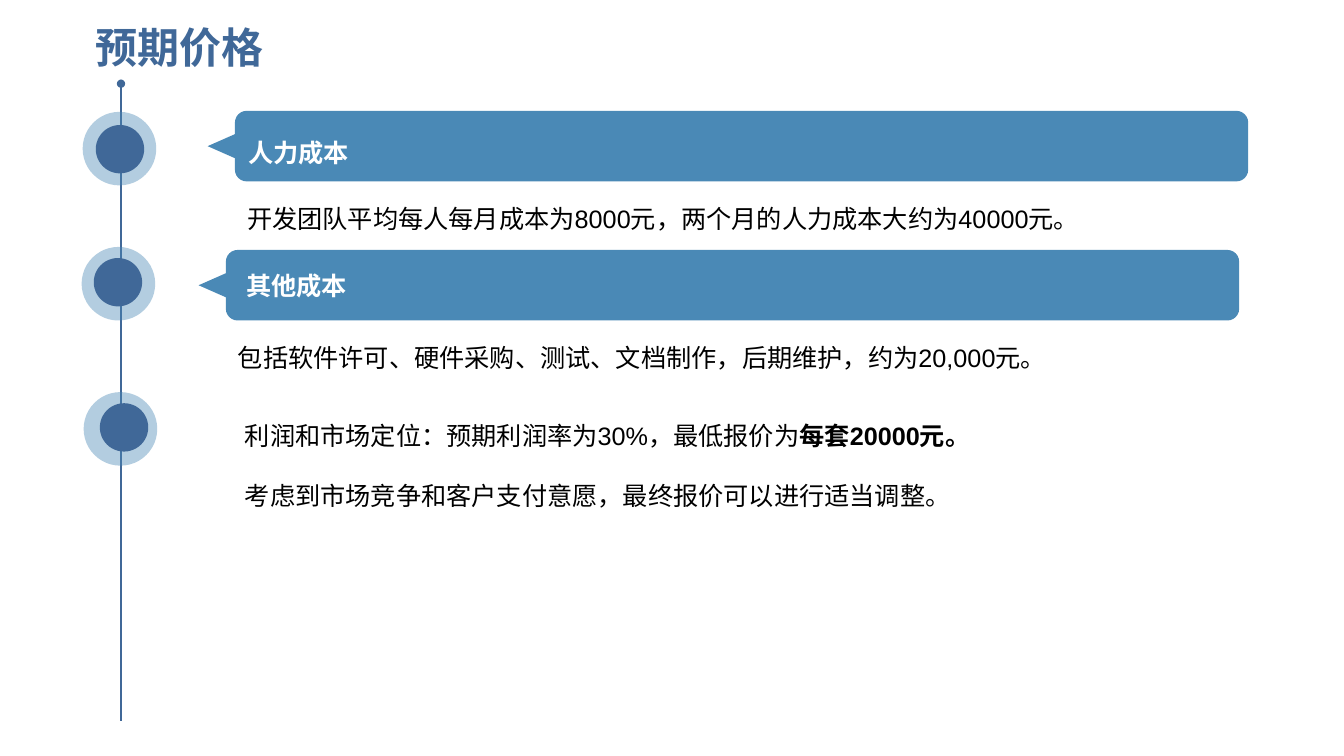
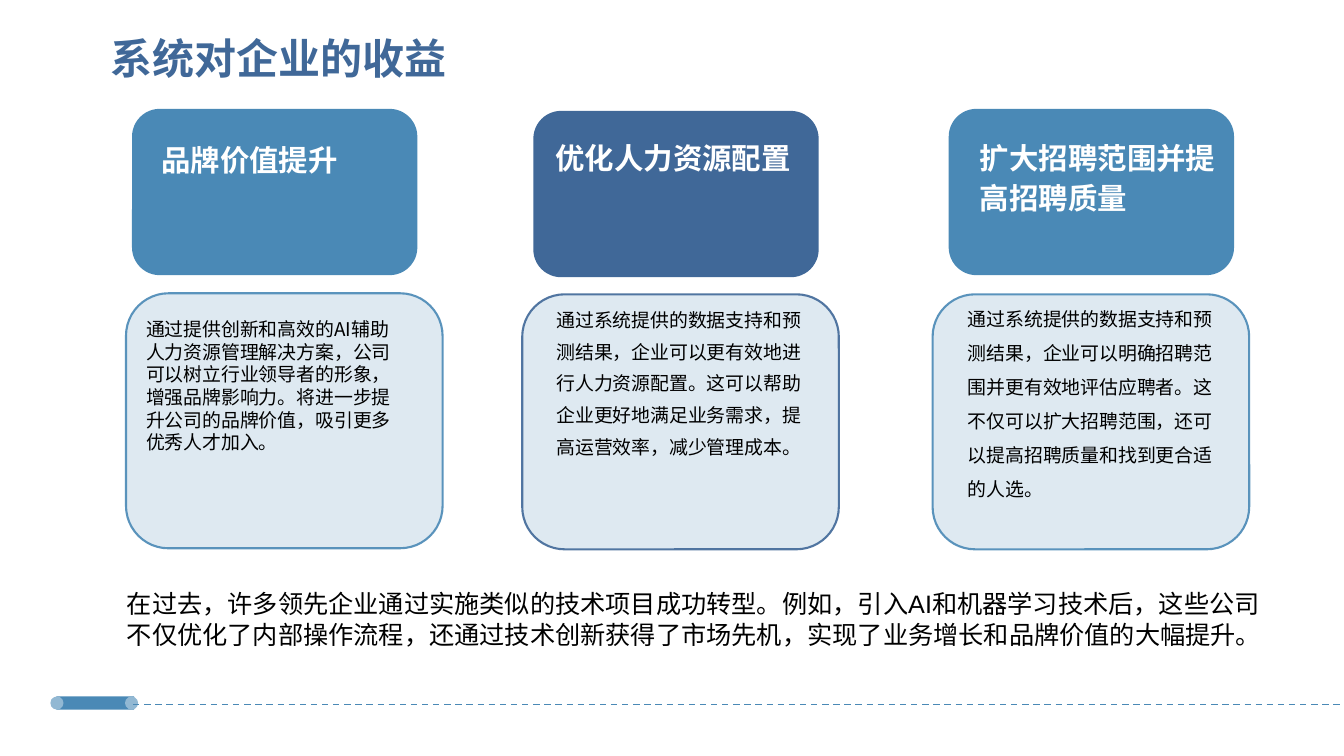
from dataclasses import dataclass

from pptx import Presentation
from pptx import util as u
from pptx.dml.color import RGBColor
from pptx.enum import dml, shapes, text
from pptx.oxml import ns
from pptx.oxml.xmlchemy import OxmlElement

COLORS = {
    "navy": "406898",
    "blue": "4A89B6",
    "mist": "92B8D3",
    "pale": "DBE7F0",
    "white": "FFFFFF",
    "black": "000000",
}
LATIN = "Arial"
HAN = "Noto Sans CJK SC"
LINE_HEIGHT = 1.2
NO_INSETS = (0, 0, 0, 0)
WIDE_INSETS = (0.14, 0.14, 0.06, 0.14)
USUAL_INSETS = (0.1, 0.05, 0.1, 0.05)
SHAPE = shapes.MSO_SHAPE
Rect = tuple[float, float, float, float]


@dataclass(frozen=True)
class TextStyle:
    size: float
    color: str = "black"
    bold: bool = False
    font: str = LATIN
    insets: Rect = NO_INSETS
    spacing: float = 1.0
    anchor: text.MSO_ANCHOR = text.MSO_ANCHOR.TOP
    gap: float = 0


@dataclass(frozen=True)
class Milestone:
    ring: tuple[float, float]
    dot: tuple[float, float]


@dataclass(frozen=True)
class Banner:
    left: float
    top: float
    heading: str
    heading_at: Rect
    heading_style: TextStyle
    detail: str
    detail_at: Rect
    detail_spacing: float


@dataclass(frozen=True)
class Benefit:
    color: str
    head_at: tuple[float, float]
    body_at: tuple[float, float]
    heading: str
    heading_at: tuple[float, float]
    detail: str
    detail_at: tuple[float, float]
    detail_spacing: float


def rgb(name: str) -> RGBColor:
    return RGBColor.from_string(COLORS[name])


def set_alpha(shape, percent: int, *parents: str) -> None:
    """Make the solid colour below the given parent tags see-through."""
    tags = (*parents, "a:solidFill", "a:srgbClr")
    color = shape._element.spPr.find("/".join(map(ns.qn, tags)))
    alpha = OxmlElement("a:alpha")
    alpha.set("val", str(percent * 1000))
    color.append(alpha)


def add_shape(page, kind, rect: Rect, fill: str, alpha: int = 100,
              outline: str | None = None, rotation: float = 0):
    shape = page.shapes.add_shape(kind, *map(u.Inches, rect))
    shape.shadow.inherit = False
    shape.rotation = rotation
    shape.fill.solid()
    shape.fill.fore_color.rgb = rgb(fill)
    if alpha < 100:
        set_alpha(shape, alpha)
    if outline:
        shape.line.color.rgb = rgb(outline)
        shape.line.width = u.Pt(1.5)
        set_alpha(shape, alpha, "a:ln")
    else:
        shape.line.fill.background()
    return shape


def add_line(page, start: tuple[float, float], end: tuple[float, float],
             color: str, width: float):
    line = page.shapes.add_connector(
        shapes.MSO_CONNECTOR.STRAIGHT, *map(u.Inches, (*start, *end)))
    line.line.color.rgb = rgb(color)
    line.line.width = u.Pt(width)
    line._element.spPr.append(OxmlElement("a:effectLst"))
    return line


def add_span(para, words: str, style: TextStyle, bold: bool) -> None:
    span = para.add_run()
    span.text = words
    formats = {"size": u.Pt(style.size), "bold": bold, "name": style.font}
    for name, value in formats.items():
        setattr(span.font, name, value)
    span.font.color.rgb = rgb(style.color)
    east_asian = OxmlElement("a:ea")
    east_asian.set("typeface", HAN)
    span._r.get_or_add_rPr().find(ns.qn("a:latin")).addnext(east_asian)


def add_text(page, rect: Rect, paragraphs: list[list[str]],
             style: TextStyle) -> None:
    """Write paragraphs; every span after the first in a paragraph is bold."""
    box = page.shapes.add_textbox(*map(u.Inches, rect))
    left, top, right, bottom = map(u.Inches, style.insets)
    formats = {
        "word_wrap": True,
        "vertical_anchor": style.anchor,
        "margin_left": left,
        "margin_top": top,
        "margin_right": right,
        "margin_bottom": bottom,
    }
    frame = box.text_frame
    for name, value in formats.items():
        setattr(frame, name, value)
    for index, spans in enumerate(paragraphs):
        para = frame.add_paragraph() if index else frame.paragraphs[0]
        para.line_spacing = u.Pt(
            round(style.size * LINE_HEIGHT * style.spacing, 1))
        if index:
            para.space_before = u.Pt(style.gap)
        for position, words in enumerate(spans):
            add_span(para, words, style, style.bold or position > 0)


def add_title(page, rect: Rect, words: str, spacing: float = 1.0) -> None:
    add_text(page, rect, [[words]], TextStyle(
        30, "navy", True, HAN, WIDE_INSETS, spacing))


def add_banner(page, banner: Banner) -> None:
    add_shape(page, SHAPE.ROUNDED_RECTANGLE,
              (banner.left, banner.top, 10.05, 0.7), "blue")
    add_shape(page, SHAPE.ISOSCELES_TRIANGLE,
              (banner.left - 0.25, banner.top + 0.18, 0.3, 0.34),
              "blue", rotation=270)
    add_text(page, banner.heading_at, [[banner.heading]],
             banner.heading_style)
    add_text(page, banner.detail_at, [[banner.detail]],
             TextStyle(18, spacing=banner.detail_spacing))


def add_milestone(page, milestone: Milestone) -> None:
    add_shape(page, SHAPE.OVAL, (*milestone.ring, 0.73, 0.73), "blue", 42)
    add_shape(page, SHAPE.OVAL, (*milestone.dot, 0.48, 0.48), "navy")


def add_benefit(page, benefit: Benefit) -> None:
    add_shape(page, SHAPE.ROUNDED_RECTANGLE,
              (*benefit.head_at, 2.83, 1.65), benefit.color)
    add_shape(page, SHAPE.ROUNDED_RECTANGLE,
              (*benefit.body_at, 3.14, 2.53), "pale", 90, benefit.color)
    add_text(page, (*benefit.heading_at, 2.57, 1.06), [[benefit.heading]],
             TextStyle(21, "white", True, HAN, WIDE_INSETS, 1.12))
    add_text(page, (*benefit.detail_at, 2.74, 2.32), [[benefit.detail]],
             TextStyle(13.5, font=HAN, insets=WIDE_INSETS,
                       spacing=benefit.detail_spacing))


def add_footer(page) -> None:
    add_shape(page, SHAPE.RECTANGLE, (0.56, 6.91, 0.77, 0.13), "blue")
    for left in (0.5, 1.24):
        add_shape(page, SHAPE.OVAL, (left, 6.91, 0.13, 0.13), "mist")
    rule = add_line(page, (1.32, 6.99), (13.33, 6.99), "blue", 1.13)
    rule.line.dash_style = dml.MSO_LINE.DASH


MILESTONES = [
    Milestone((0.82, 1.11), (0.95, 1.24)),
    Milestone((0.81, 2.45), (0.93, 2.56)),
    Milestone((0.83, 3.89), (0.99, 4.0)),
]
BANNERS = [
    Banner(2.33, 1.1, "人力成本", (2.46, 1.13, 9.58, 0.61),
           TextStyle(18, "white", True, spacing=1.5,
                     anchor=text.MSO_ANCHOR.MIDDLE),
           "开发团队平均每人每月成本为8000元，两个月的人力成本大约为40000元。",
           (2.45, 1.93, 9.68, 0.4), 1.3),
    Banner(2.24, 2.48, "其他成本", (2.44, 2.48, 9.59, 0.7),
           TextStyle(18, "white", True, HAN,
                     anchor=text.MSO_ANCHOR.MIDDLE),
           "包括软件许可、硬件采购、测试、文档制作，后期维护，约为20,000元。",
           (2.36, 3.28, 9.17, 0.47), 1.4),
]
BENEFITS = [
    Benefit("blue", (1.31, 1.08), (1.25, 2.91),
            "品牌价值提升", (1.46, 1.23),
            "通过提供创新和高效的AI辅助人力资源管理解决方案，公司可以树立行业"
            "领导者的形象，增强品牌影响力。将进一步提升公司的品牌价值，吸引更多"
            "优秀人才加入。", (1.31, 3.01), 1.0),
    Benefit("navy", (5.29, 1.1), (5.18, 2.92),
            "优化人力资源配置", (5.37, 1.21),
            "通过系统提供的数据支持和预测结果，企业可以更有效地进行人力资源配置。"
            "这可以帮助企业更好地满足业务需求，提高运营效率，减少管理成本。",
            (5.38, 2.83), 1.4),
    Benefit("blue", (9.41, 1.08), (9.25, 2.92),
            "扩大招聘范围并提高招聘质量", (9.58, 1.21),
            "通过系统提供的数据支持和预测结果，企业可以明确招聘范围并更有效地"
            "评估应聘者。这不仅可以扩大招聘范围，还可以提高招聘质量和找到更合适"
            "的人选。", (9.46, 2.8), 1.5),
]


def build_pricing(page) -> None:
    timeline = add_line(page, (1.2, 0.83), (1.2, 7.15), "navy", 1.5)
    head = OxmlElement("a:headEnd")
    head.set("type", "oval")
    timeline._element.spPr.find(ns.qn("a:ln")).append(head)
    for milestone in MILESTONES:
        add_milestone(page, milestone)
    for banner in BANNERS:
        add_banner(page, banner)
    add_title(page, (0.81, -0.13, 2.35, 0.9), "预期价格", 1.4)
    add_text(page, (2.33, 4.12, 7.5, 1.01), [
        ["利润和市场定位：预期利润率为30%，最低报价为", "每套20000元。"],
        ["考虑到市场竞争和客户支付意愿，最终报价可以进行适当调整。"],
    ], TextStyle(18, insets=USUAL_INSETS, gap=21.6))


def build_benefits(page) -> None:
    add_footer(page)
    for benefit in BENEFITS:
        add_benefit(page, benefit)
    add_title(page, (0.96, 0.18, 10.94, 0.78), "系统对企业的收益")
    add_text(page, (1.16, 5.79, 11.46, 0.71), [[
        "在过去，许多领先企业通过实施类似的技术项目成功转型。例如，引入AI和"
        "机器学习技术后，这些公司不仅优化了内部操作流程，还通过技术创新获得了"
        "市场先机，实现了业务增长和品牌价值的大幅提升。"
    ]], TextStyle(18, insets=USUAL_INSETS))


def main() -> None:
    deck = Presentation()
    deck.slide_width = u.Inches(13.33)
    deck.slide_height = u.Inches(7.5)
    for build in (build_pricing, build_benefits):
        build(deck.slides.add_slide(deck.slide_layouts[6]))
    deck.save("out.pptx")


if __name__ == "__main__":
    main()
